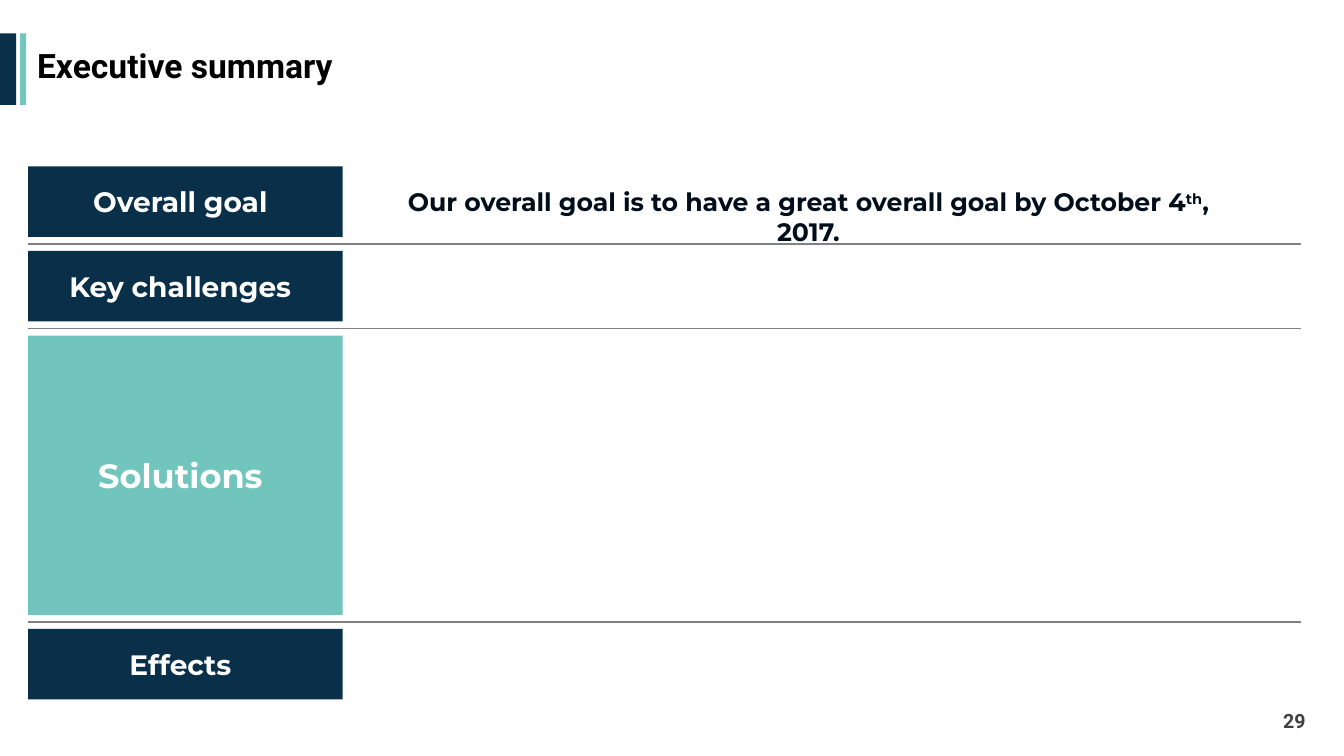
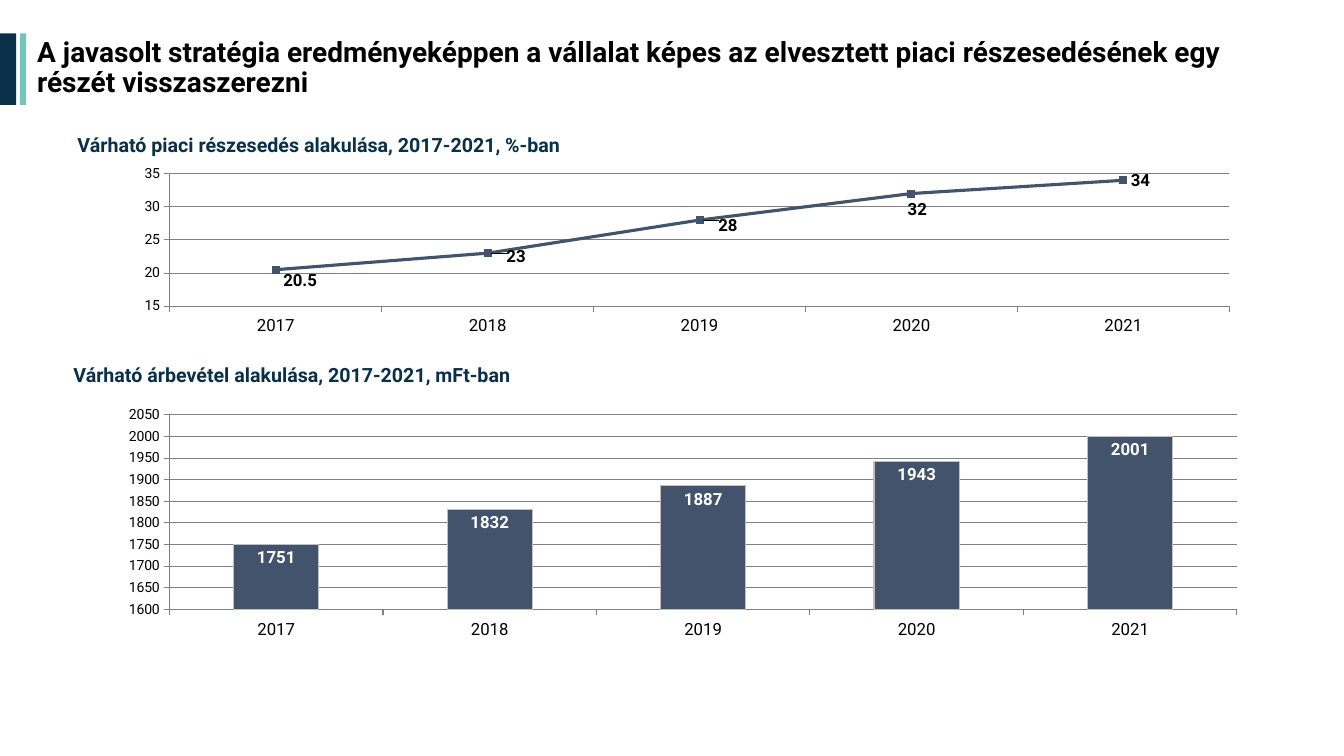
from dataclasses import dataclass

from lxml import etree
from pptx import Presentation
from pptx.chart.data import CategoryChartData
from pptx.dml.color import RGBColor
from pptx.enum.chart import XL_CHART_TYPE as ChartKind
from pptx.enum.chart import XL_LABEL_POSITION as LabelSpot
from pptx.enum.chart import XL_MARKER_STYLE as Marker
from pptx.enum.chart import XL_TICK_MARK as Tick
from pptx.enum.shapes import MSO_CONNECTOR as Connector
from pptx.enum.shapes import MSO_SHAPE as Preset
from pptx.enum.text import MSO_ANCHOR as Anchor
from pptx.enum.text import PP_ALIGN as Align
from pptx.oxml.ns import qn
from pptx.util import Inches, Pt

NAVY = RGBColor(0x09, 0x2F, 0x49)
TEAL = RGBColor(0x72, 0xC5, 0xBC)
SLATE = RGBColor(0x44, 0x53, 0x6C)
INK = RGBColor(0x00, 0x0E, 0x1B)
BLACK = RGBColor(0x00, 0x00, 0x00)
WHITE = RGBColor(0xFF, 0xFF, 0xFF)
DARK_GREY = RGBColor(0x40, 0x40, 0x40)
GREY = RGBColor(0x80, 0x80, 0x80)
LIGHT_GREY = RGBColor(0xBF, 0xBF, 0xBF)

HEADING_FONT = "Roboto"
BODY_FONT = "Montserrat"
CELL = Inches(0.1)  # side of one square of the layout grid
YEARS = ["2017", "2018", "2019", "2020", "2021"]


@dataclass
class Box:
    """A rectangle measured in grid cells."""
    left: float
    top: float
    width: float
    height: float

    def inside(self, left, top, width, height):
        return Box(self.left + left, self.top + top, width, height)

    def frame(self):
        sides = (self.left, self.top, self.width, self.height)
        return [round(side * CELL) for side in sides]


SLIDE = Box(0, 0, 133.33, 75)


# Basic parts
def style_font(font, size, color, name, bold=True):
    font.size, font.bold, font.name = Pt(size), bold, name
    font.color.rgb = color


def add_text(page, box, text, size, color, font=HEADING_FONT,
             align=Align.LEFT, anchor=Anchor.TOP):
    frame = page.shapes.add_textbox(*box.frame()).text_frame
    frame.word_wrap = True
    frame.vertical_anchor = anchor
    para = frame.paragraphs[0]
    para.text, para.alignment = text, align
    style_font(para.font, size, color, font)
    return para


def add_block(page, box, color):
    block = page.shapes.add_shape(Preset.RECTANGLE, *box.frame())
    block.shadow.inherit = False
    block.fill.solid()
    block.fill.fore_color.rgb = color
    block.line.fill.background()
    return block


def add_rule(page, box):
    left, top, width, height = box.frame()
    rule = page.shapes.add_connector(
        Connector.STRAIGHT, left, top, left + width, top + height)
    rule.line.color.rgb = GREY
    rule.line.width = Pt(1)
    etree.SubElement(rule._element.spPr, qn("a:effectLst"))


def add_page(deck, title, title_size):
    """Blank page with the edge bands and the title."""
    page = deck.slides.add_slide(deck.slide_layouts[6])
    header = SLIDE.inside(0, 3.3, SLIDE.width, 7.1)
    add_block(page, header.inside(0, 0, 1.6, header.height), NAVY)
    add_block(page, header.inside(2, 0, 0.6, header.height), TEAL)
    para = add_text(page, header.inside(2.7, -0.1, 127.7, header.height),
                    title, title_size, BLACK, anchor=Anchor.MIDDLE)
    para.line_spacing = 0.9
    return page


# Summary rows
def add_row_label(page, box, text, size, color):
    block = add_block(page, box, color)
    frame = block.text_frame
    frame.word_wrap = True
    frame.vertical_anchor = Anchor.MIDDLE
    frame.margin_right = 2 * CELL
    para = frame.paragraphs[0]
    para.text, para.alignment = text, Align.CENTER
    style_font(para.font, size, WHITE, BODY_FONT)


def add_summary_rows(page, box):
    label_width, gap = 31.2, 1.4
    rows = [
        ("Overall goal", 20, NAVY, 7),
        ("Key challenges", 20, NAVY, 7),
        ("Solutions", 24, TEAL, 27.7),
        ("Effects", 20, NAVY, 7),
    ]
    top = 0
    for text, size, color, height in rows:
        if top:
            add_rule(page, box.inside(0, top - gap / 2, box.width, 0))
        add_row_label(page, box.inside(0, top, label_width, height),
                      text, size, color)
        top += height + gap


def add_goal(page, box):
    para = add_text(page, box, "", 18, INK, BODY_FONT, Align.CENTER)
    for text, baseline in [
        ("Our overall goal is to have a great overall goal by October 4", 0),
        ("th", 30000),
        (", 2017.", 0),
    ]:
        span = para.add_run()
        span.text = text
        if baseline:
            span._r.get_or_add_rPr().set("baseline", str(baseline))


def build_summary(deck):
    page = add_page(deck, "Executive summary", 24)
    rows = SLIDE.inside(2.8, 16.5, 126.3, 53)
    add_summary_rows(page, rows)
    add_goal(page, rows.inside(33.4, 1.5, 88, 4))
    add_text(page, SLIDE.inside(100.5, 69.5, 30, 4), "29", 14, DARK_GREY,
             align=Align.RIGHT, anchor=Anchor.MIDDLE)


# Charts
def add_year_chart(page, box, kind, values, low, high, step):
    data = CategoryChartData()
    data.categories = YEARS
    data.add_series("Series 1", values)
    chart = page.shapes.add_chart(kind, *box.frame(), data).chart
    chart.has_title = chart.has_legend = False
    style_font(chart.font, 10, BLACK, HEADING_FONT, bold=False)

    years, scale = chart.category_axis, chart.value_axis
    style_font(years.tick_labels.font, 12, BLACK, HEADING_FONT, bold=False)
    scale.minimum_scale, scale.maximum_scale = low, high
    scale.major_unit = step
    scale.has_major_gridlines = True
    for axis in (years, scale):
        axis.major_tick_mark = Tick.OUTSIDE
        axis.minor_tick_mark = Tick.NONE
    for line in (years.format.line, scale.format.line,
                 scale.major_gridlines.format.line):
        line.color.rgb = GREY
        line.width = Pt(0.75)

    plot = chart.plots[0]
    plot.vary_by_categories = False
    return chart, plot, plot.series[0]


def style_labels(series, color, spot):
    labels = series.data_labels
    labels.show_value = True
    labels.position = spot
    style_font(labels.font, 12, color, HEADING_FONT)


def shift_labels(chart, series, shifts):
    """Move the first labels by shares of the chart's width and height."""
    for index in range(len(shifts)):
        label = series.points[index].data_label
        label.position = LabelSpot.RIGHT
        style_font(label.font, 12, BLACK, HEADING_FONT)
    for label, shift in zip(chart.element.xpath(".//c:dLbl"), shifts):
        layout = etree.Element(qn("c:layout"))
        manual = etree.SubElement(layout, qn("c:manualLayout"))
        for axis, share in zip("xy", shift):
            etree.SubElement(manual, qn(f"c:{axis}")).set("val", str(share))
        label.find(qn("c:idx")).addnext(layout)


def add_share_region(page, box):
    add_text(page, box.inside(0, 0, 51.5, 3.4),
             "Várható piaci részesedés alakulása, 2017-2021, %-ban", 14, NAVY)
    chart, plot, series = add_year_chart(
        page, box.inside(5.4, 3.4, 112.1, 17.6),
        ChartKind.LINE_MARKERS_STACKED, [20.5, 23, 28, 32, 34], 15, 35, 5)
    series.smooth = False
    series.format.line.color.rgb = SLATE
    series.format.line.width = Pt(2.25)
    series.marker.style, series.marker.size = Marker.SQUARE, 5
    series.marker.format.fill.solid()
    series.marker.format.fill.fore_color.rgb = SLATE
    series.marker.format.line.color.rgb = SLATE
    style_labels(series, BLACK, LabelSpot.RIGHT)
    shift_labels(chart, series,
                 [(0, 0.06), (0.01, 0.02), (0.01, 0.03), (-0.01, 0.09)])


def add_revenue_region(page, box):
    add_text(page, box.inside(0, 0, 47.3, 3.4),
             "Várható árbevétel alakulása, 2017-2021, mFt-ban", 14, NAVY)
    chart, plot, series = add_year_chart(
        page, box.inside(4.2, 4.4, 114.5, 24),
        ChartKind.COLUMN_CLUSTERED, [1751, 1832, 1887, 1943, 2001],
        1600, 2050, 50)
    plot.gap_width = 150
    series.format.fill.solid()
    series.format.fill.fore_color.rgb = SLATE
    series.format.line.color.rgb = LIGHT_GREY
    series.format.line.width = Pt(0.75)
    style_labels(series, WHITE, LabelSpot.INSIDE_END)


def build_forecast(deck):
    page = add_page(
        deck, "A javasolt stratégia eredményeképpen a vállalat képes az "
        "elvesztett piaci részesedésének egy részét visszaszerezni", 20)
    add_share_region(page, SLIDE.inside(6.7, 12.7, 117.5, 21))
    add_revenue_region(page, SLIDE.inside(6.3, 35.5, 118.7, 28.4))


def main():
    deck = Presentation()
    deck.slide_width, deck.slide_height = SLIDE.frame()[2:]
    build_summary(deck)
    build_forecast(deck)
    deck.save("out.pptx")


if __name__ == "__main__":
    main()
